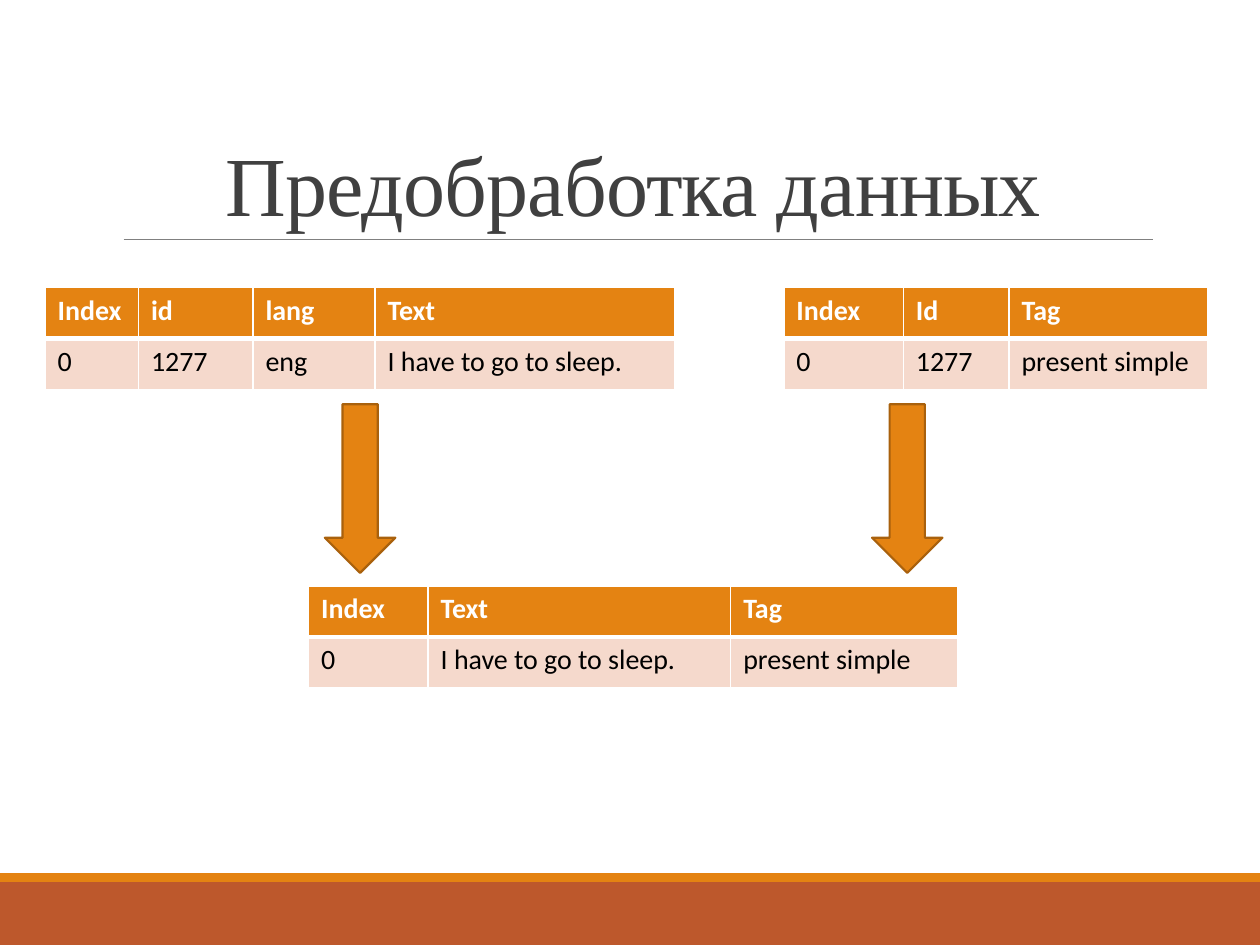
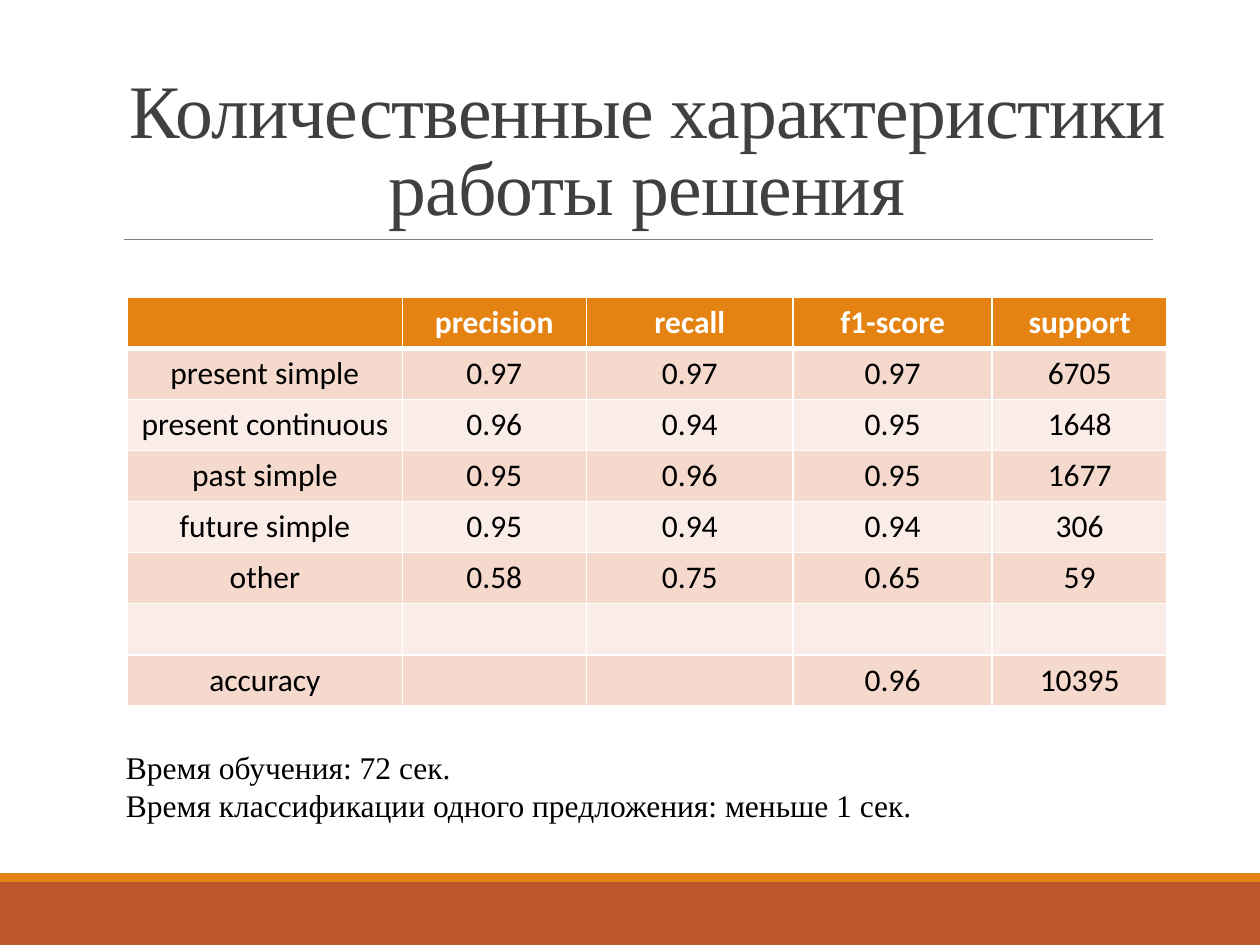
from lxml import etree
from pptx import Presentation
from pptx.dml.color import RGBColor
from pptx.enum.shapes import MSO_CONNECTOR, MSO_SHAPE
from pptx.enum.text import MSO_ANCHOR, MSO_AUTO_SIZE, PP_ALIGN
from pptx.oxml.ns import qn
from pptx.util import Cm, Pt

RECT, DOWN_ARROW = MSO_SHAPE.RECTANGLE, MSO_SHAPE.DOWN_ARROW
STRAIGHT = MSO_CONNECTOR.STRAIGHT
LEFT, CENTER = PP_ALIGN.LEFT, PP_ALIGN.CENTER
BOTTOM, NO_FIT = MSO_ANCHOR.BOTTOM, MSO_AUTO_SIZE.NONE
TITLE_ONLY = 5

SERIF, SANS = "Times New Roman", "Calibri"
WHITE, BLACK, TITLE_GREY, RULE_GREY = "FFFFFF", "000000", "404040", "808080"
ORANGE, DARK_ORANGE, RUST = "E48312", "A9610D", "BD582C"
ROW_FILLS = ("F5D9CC", "FAEDE7")
ROW_HEIGHT = 1.03


def rgb(color):
    return RGBColor.from_string(color)


def add_run(p, text, size, font, color, bold=False):
    r = p.add_run()
    r.text = text
    r.font.size = Pt(size)
    r.font.name = font
    r.font.bold = bold
    r.font.color.rgb = rgb(color)
    return r


def add_block(s, kind, left, top, width, height, fill, line=None):
    """Add a filled preset shape, outlined only if a line colour is given."""
    sp = s.shapes.add_shape(kind, Cm(left), Cm(top), Cm(width), Cm(height))
    sp.shadow.inherit = False
    sp.fill.solid()
    sp.fill.fore_color.rgb = rgb(fill)
    if line:
        sp.line.color.rgb = rgb(line)
        sp.line.width = Pt(1.25)
    else:
        sp.line.fill.background()


def add_rule(s, left, right, y):
    line = s.shapes.add_connector(STRAIGHT, Cm(left), Cm(y), Cm(right), Cm(y))
    line.line.color.rgb = rgb(RULE_GREY)
    line.line.width = Pt(0.5)
    etree.SubElement(line._element.spPr, qn("a:effectLst"))


def set_title(s, text, size, top, width):
    title = s.shapes.title
    title.left, title.top = Cm(2.29), Cm(top)
    title.width, title.height = Cm(width), Cm(4.04)
    tf = title.text_frame
    tf.word_wrap = True
    tf.auto_size = NO_FIT
    tf.vertical_anchor = BOTTOM
    p = tf.paragraphs[0]
    p.alignment = CENTER
    p.line_spacing = 0.85
    r = add_run(p, text, size, SERIF, TITLE_GREY)
    r.font._element.set("spc", "-50")


def add_titled_slide(prs, title, size, top, width):
    """Add a slide with the shared footer bands, title rule and title."""
    s = prs.slides.add_slide(prs.slide_layouts[TITLE_ONLY])
    add_block(s, RECT, 0, 17.78, 25.4, 1.27, RUST)
    add_block(s, RECT, 0, 17.6, 25.4, 0.18, ORANGE)
    add_rule(s, 2.49, 23.24, 4.83)
    set_title(s, title, size, top, width)
    return s


def set_borders(cell, top, bottom):
    """Draw white borders; top and bottom are widths in points."""
    tc_pr = cell._tc.get_or_add_tcPr()
    for side, width in (("L", 1), ("R", 1), ("T", top), ("B", bottom)):
        ln = etree.SubElement(tc_pr, qn(f"a:ln{side}"), w=str(Pt(width)))
        fill = etree.SubElement(ln, qn("a:solidFill"))
        etree.SubElement(fill, qn("a:srgbClr"), val=WHITE)


def add_data_table(s, left, top, widths, rows, size=16, align=LEFT):
    """Add a table with an orange header row and banded body rows."""
    table = s.shapes.add_table(
        len(rows), len(widths), Cm(left), Cm(top),
        Cm(sum(widths)), Cm(ROW_HEIGHT * len(rows))).table
    for column, width in zip(table.columns, widths):
        column.width = Cm(width)
    for i, values in enumerate(rows):
        table.rows[i].height = Cm(ROW_HEIGHT)
        header = i == 0
        for j, value in enumerate(values):
            cell = table.cell(i, j)
            set_borders(cell, 3 if i == 1 else 1, 3 if header else 1)
            cell.fill.solid()
            cell.fill.fore_color.rgb = rgb(ORANGE if header else ROW_FILLS[(i - 1) % 2])
            if value:
                p = cell.text_frame.paragraphs[0]
                p.alignment = align
                add_run(p, value, size, SANS, WHITE if header else BLACK, header)


def add_note(s, left, top, width, height, lines):
    tf = s.shapes.add_textbox(Cm(left), Cm(top), Cm(width), Cm(height)).text_frame
    for i, line in enumerate(lines):
        p = tf.add_paragraph() if i else tf.paragraphs[0]
        add_run(p, line, 18, SERIF, BLACK)


def build_preprocessing(prs):
    s = add_titled_slide(prs, "Предобработка данных", 48, 0.79, 20.96)
    sentence, tag = "I have to go to sleep.", "present simple"
    add_data_table(s, 0.91, 5.79, (1.88, 2.31, 2.46, 6.05),
                   [("Index", "id", "lang", "Text"), ("0", "1277", "eng", sentence)])
    add_data_table(s, 15.8, 5.79, (2.41, 2.13, 4.01),
                   [("Index", "Id", "Tag"), ("0", "1277", tag)])
    add_data_table(s, 6.22, 11.81, (2.41, 6.1, 4.57),
                   [("Index", "Text", "Tag"), ("0", sentence, tag)])
    for left in (6.55, 17.58):
        add_block(s, DOWN_ARROW, left, 8.15, 1.42, 3.4, ORANGE, DARK_ORANGE)


def build_metrics(prs):
    s = add_titled_slide(prs, "Количественные характеристики работы решения",
                         43.2, 0.74, 21.51)
    metrics = [
        ("", "precision", "recall", "f1-score", "support"),
        ("present simple", "0.97", "0.97", "0.97", "6705"),
        ("present continuous", "0.96", "0.94", "0.95", "1648"),
        ("past simple", "0.95", "0.96", "0.95", "1677"),
        ("future simple", "0.95", "0.94", "0.94", "306"),
        ("other", "0.58", "0.75", "0.65", "59"),
        ("", "", "", "", ""),
        ("accuracy", "", "", "0.96", "10395"),
    ]
    add_data_table(s, 2.57, 5.99, (5.54, 3.71, 4.17, 4.01, 3.53), metrics, 18, CENTER)
    add_note(s, 2.29, 14.96, 16.51, 1.8,
             ("Время обучения: 72 сек.",
              "Время классификации одного предложения: меньше 1 сек."))


def main():
    prs = Presentation()
    prs.slide_width, prs.slide_height = Cm(25.4), Cm(19.05)
    build_preprocessing(prs)
    build_metrics(prs)
    prs.save("out.pptx")


if __name__ == "__main__":
    main()
